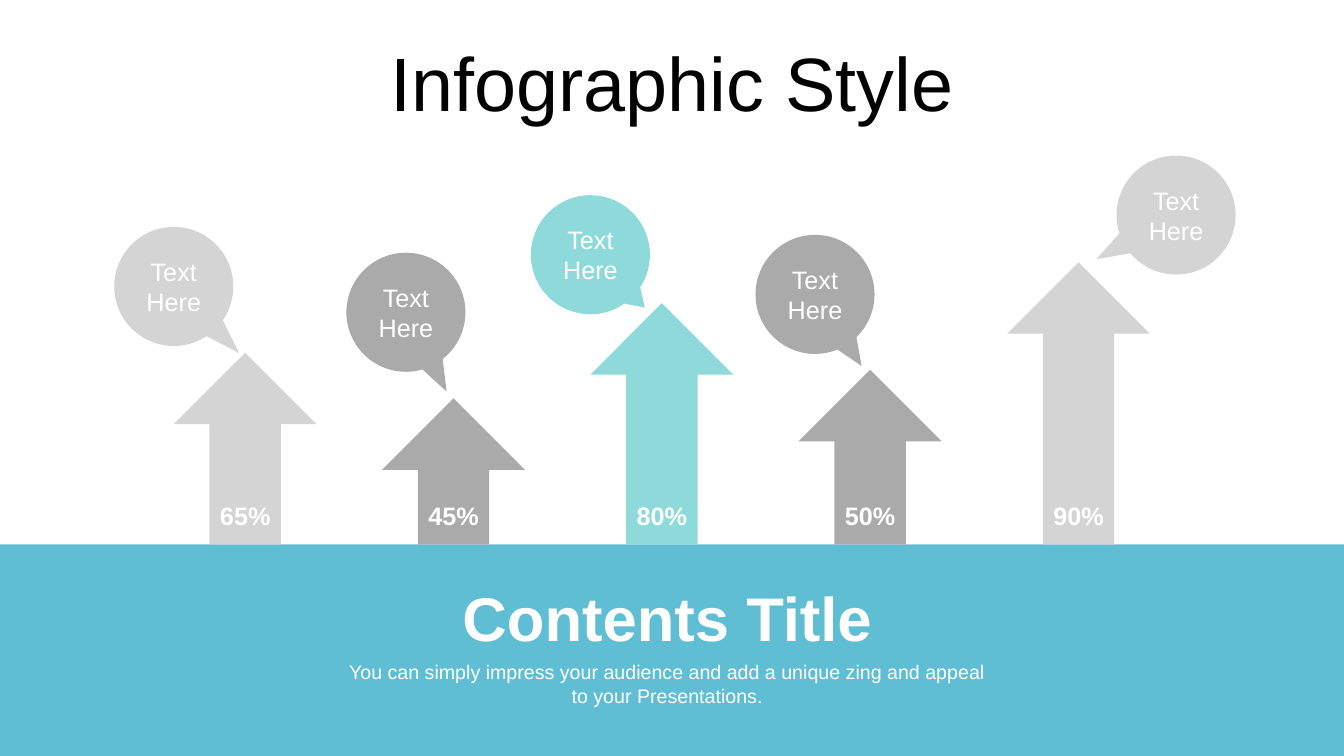
"""Build an infographic slide of five percentage arrows with callouts."""
import pptx
import pptx.dml.color
import pptx.enum.shapes
import pptx.enum.text
import pptx.util

Cm = pptx.util.Cm
SHAPE = pptx.enum.shapes.MSO_SHAPE
ANCHOR = pptx.enum.text.MSO_ANCHOR
WHITE, TEAL, AQUA = "FFFFFF", "60BED4", "8EDADA"
LIGHT, DARK = "D4D4D4", "AAAAAA"


def add_filled(kind, x, y, w, h, color):
    sp = s.shapes.add_shape(kind, Cm(x), Cm(y), Cm(w), Cm(h))
    sp.shadow.inherit = False
    sp.fill.solid()
    sp.fill.fore_color.rgb = pptx.dml.color.RGBColor.from_string(color)
    sp.line.fill.background()
    return sp


def write(tf, text, size, color=WHITE, bold=False):
    tf.word_wrap = True
    p = tf.paragraphs[0]
    p.alignment = pptx.enum.text.PP_ALIGN.CENTER
    r = p.add_run()
    r.text = text
    r.font.name = "Arial"
    r.font.size = pptx.util.Pt(size)
    r.font.bold = bold
    r.font.color.rgb = pptx.dml.color.RGBColor.from_string(color)
    return p


prs = pptx.Presentation()
prs.slide_width, prs.slide_height = Cm(33.87), Cm(19.05)
s = prs.slides.add_slide(prs.slide_layouts[5])

title = s.shapes.title
title.left, title.top, title.width, title.height = Cm(0.86), Cm(0.94), Cm(32.16), Cm(2)
tf = title.text_frame
tf.auto_size = pptx.enum.text.MSO_AUTO_SIZE.NONE
tf.vertical_anchor = ANCHOR.MIDDLE
tf.margin_top, tf.margin_bottom = Cm(0.5), 0
write(tf, "Infographic Style", 54, "000000").line_spacing = 0.9

base = 13.72
add_filled(SHAPE.RECTANGLE, 0, base, 33.87, 19.05 - base, TEAL)

# label, colour, arrow height, callout left and top, callout tip
columns = [
    ("65%", LIGHT, 4.83, 2.88, 5.72, (0.548, 0.559)),
    ("45%", DARK, 3.68, 8.73, 6.37, (0.342, 0.666)),
    ("80%", AQUA, 6.08, 13.38, 4.92, (0.457, 0.444)),
    ("50%", DARK, 4.4, 19.04, 5.92, (0.391, 0.6)),
    ("90%", LIGHT, 7.11, 28.14, 3.92, (-0.669, 0.37)),
]
arrow_w, label_w, callout_d = 3.6, 1.96, 3
for i, (label, color, height, x, y, tip) in enumerate(columns):
    center = 6.18 + 5.25 * i
    add_filled(SHAPE.UP_ARROW, center - arrow_w / 2, base - height, arrow_w, height, color)

    sp = add_filled(SHAPE.OVAL_CALLOUT, x, y, callout_d, callout_d, color)
    sp.adjustments[0], sp.adjustments[1] = tip
    sp.text_frame.vertical_anchor = ANCHOR.MIDDLE
    write(sp.text_frame, "Text Here", 18)

    tb = s.shapes.add_textbox(Cm(center - label_w / 2), Cm(12.48), Cm(label_w), Cm(1.02))
    write(tb.text_frame, label, 18, bold=True)

captions = [
    ("Contents Title", 44, True, 11.46, 14.5, 10.92, 2.13),
    ("You can simply impress your audience and add a unique zing and appeal "
     "to your Presentations.", 14, False, 8.56, 16.51, 16.71, 1.45),
]
for text, size, bold, x, y, w, h in captions:
    tf = s.shapes.add_textbox(Cm(x), Cm(y), Cm(w), Cm(h)).text_frame
    tf.margin_left, tf.margin_right = 0, Cm(0.2)
    write(tf, text, size, bold=bold)

prs.save("out.pptx")
